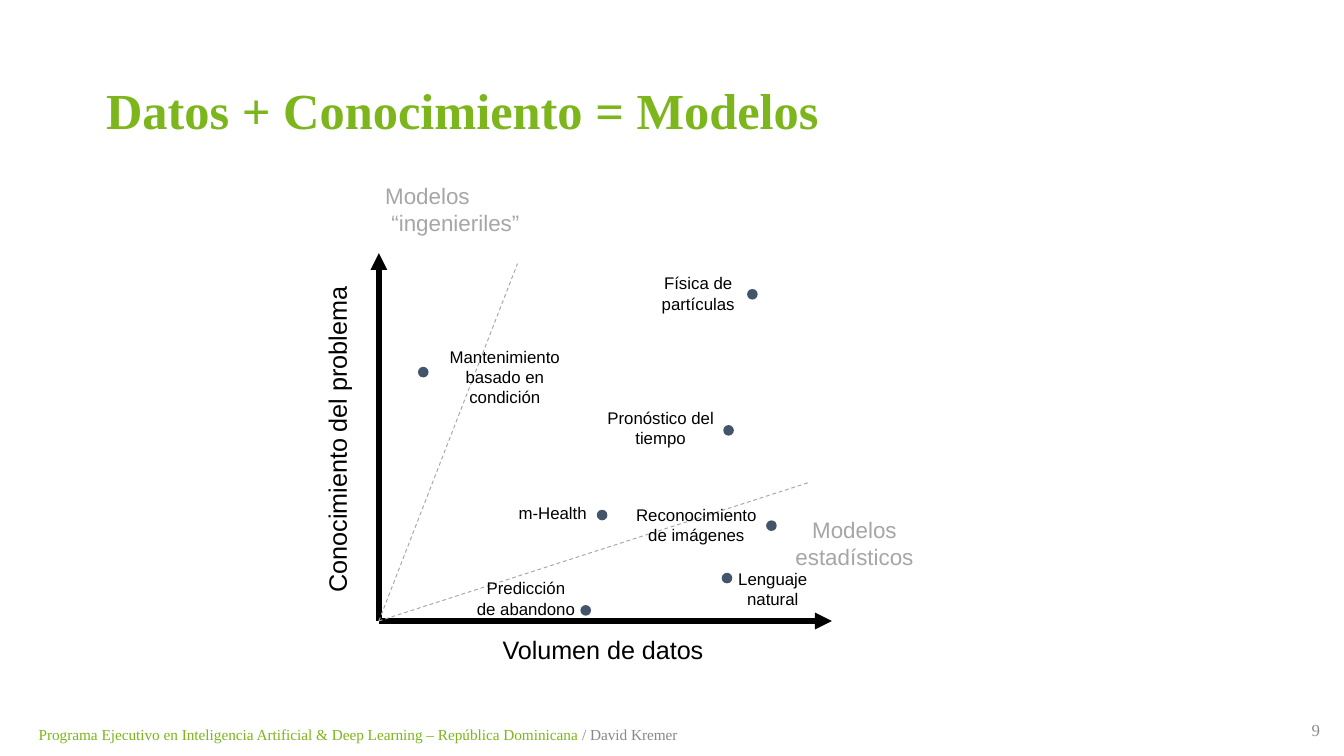
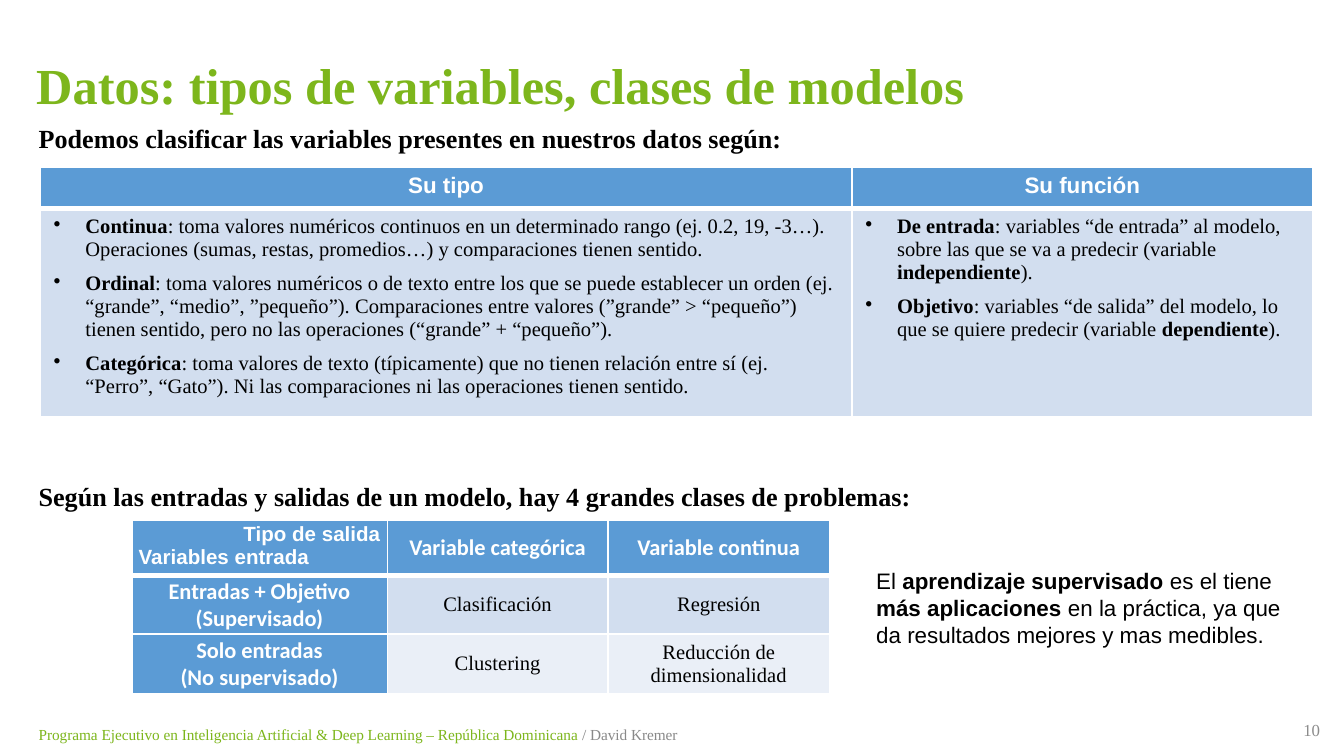
from dataclasses import dataclass, replace

from lxml.etree import SubElement
from pptx import Presentation
from pptx.dml.color import RGBColor
from pptx.enum.dml import MSO_LINE
from pptx.enum.shapes import MSO_CONNECTOR, MSO_SHAPE
from pptx.enum.text import MSO_ANCHOR, MSO_AUTO_SIZE, PP_ALIGN
from pptx.oxml.ns import qn
from pptx.util import Cm, Pt

GREEN = RGBColor(0x7D, 0xB6, 0x1C)
FOOTER_GRAY = RGBColor(0x89, 0x89, 0x89)
NUMBER_GRAY = RGBColor(0x8C, 0x8C, 0x8C)
LIGHT_GRAY = RGBColor(0xA6, 0xA6, 0xA6)
BLACK = RGBColor(0, 0, 0)
WHITE = RGBColor(0xFF, 0xFF, 0xFF)
SLATE = RGBColor(0x44, 0x54, 0x6A)
BLUE = RGBColor(0x5B, 0x9B, 0xD5)
BAND_DARK = RGBColor(0xD2, 0xDE, 0xEF)
BAND_LIGHT = RGBColor(0xEA, 0xEF, 0xF7)

SERIF = "Times New Roman"
SANS = "Arial"


@dataclass(frozen=True)
class TextStyle:
    """Font, size, colour, weight and alignment of a paragraph."""

    font: str
    size: float
    color: RGBColor = BLACK
    bold: bool = False
    alignment: PP_ALIGN = PP_ALIGN.LEFT


TITLE = TextStyle(SERIF, 27, GREEN, True)
FOOTER = TextStyle(SERIF, 8.2)
PAGE_NUMBER = TextStyle(SERIF, 9, NUMBER_GRAY, alignment=PP_ALIGN.RIGHT)
AXIS = TextStyle(SANS, 13.5)
POINT = TextStyle(SANS, 9, alignment=PP_ALIGN.CENTER)
REGION = TextStyle(SANS, 12, LIGHT_GRAY, alignment=PP_ALIGN.CENTER)
LEAD = TextStyle(SERIF, 14, bold=True)
ASIDE = TextStyle(SANS, 12)
TABLE_HEADER = TextStyle(SANS, 12, WHITE, True, PP_ALIGN.CENTER)
CLASS_HEADER = replace(TABLE_HEADER, font="Calibri")
CORNER = TextStyle(SANS, 11, WHITE, True)
DEFINITION = TextStyle(SERIF, 11)
CLASS_NAME = replace(DEFINITION, alignment=PP_ALIGN.CENTER)

ORIGIN = (7.16, 11.73)
DOT_SIZE = 0.2
POINTS = [
    ("Reconocimiento de imágenes", (11.84, 9.53, 2.64, 0.76), (14.48, 9.83)),
    ("Mantenimiento basado en condición", (8.13, 6.55, 2.82, 1.14), (7.9, 6.93)),
    ("Pronóstico del tiempo", (11.28, 7.7, 2.41, 0.76), (13.67, 8.03)),
    ("Física de partículas", (11.99, 5.16, 2.41, 0.76), (14.12, 5.46)),
    ("Lenguaje natural", (13.87, 10.74, 1.47, 0.76), (13.64, 10.82)),
    ("Predicción de abandono", (8.99, 10.92, 1.9, 0.76), (10.97, 11.43)),
    ("m-Health", (9.58, 9.5, 1.73, 0.38), (11.28, 9.63)),
]

VARIABLE_TYPES = [
    "**Continua**: toma valores numéricos continuos en un determinado rango "
    "(ej. 0.2, 19, -3…). Operaciones (sumas, restas, promedios…) y "
    "comparaciones tienen sentido.",
    "**Ordinal**: toma valores numéricos o de texto entre los que se puede "
    "establecer un orden (ej. “grande”, “medio”, ”pequeño”). Comparaciones "
    "entre valores (”grande” > “pequeño”) tienen sentido, pero no las "
    "operaciones (“grande” + “pequeño”).",
    "**Categórica**: toma valores de texto (típicamente) que no tienen "
    "relación entre sí (ej. “Perro”, “Gato”). Ni las comparaciones ni las "
    "operaciones tienen sentido.",
]
VARIABLE_ROLES = [
    "**De entrada**: variables “de entrada” al modelo, sobre las que se va a "
    "predecir (variable **independiente**).",
    "**Objetivo**: variables “de salida” del modelo, lo que se quiere "
    "predecir (variable **dependiente**).",
]
PROBLEM_CLASSES = [
    (["Entradas + Objetivo", "(Supervisado)"], "Clasificación", "Regresión"),
    (["Solo entradas", "(No supervisado)"], "Clustering", "Reducción de dimensionalidad"),
]


def lengths(values):
    """Turn centimetre values into lengths."""
    return [Cm(value) for value in values]


def style_paragraph(paragraph, style):
    """Apply a text style to a whole paragraph."""
    paragraph.alignment = style.alignment
    paragraph.font.name = style.font
    paragraph.font.size = Pt(style.size)
    paragraph.font.bold = style.bold
    paragraph.font.color.rgb = style.color


def write_paragraph(paragraph, text, style):
    """Write text in which double asterisks enclose bold words."""
    if "**" in text:
        for index, part in enumerate(text.split("**")):
            run = paragraph.add_run()
            run.text = part
            run.font.bold = index % 2 == 1
    else:
        paragraph.text = text
    style_paragraph(paragraph, style)


def write_paragraphs(text_frame, texts, style):
    """Write one paragraph per text and return the paragraphs."""
    paragraphs = [text_frame.paragraphs[0]]
    paragraphs += [text_frame.add_paragraph() for _ in texts[1:]]
    for paragraph, text in zip(paragraphs, texts):
        write_paragraph(paragraph, text, style)
    return paragraphs


def set_bullet(paragraph):
    """Give a paragraph a round bullet with a hanging indent."""
    paragraph.space_after = Pt(6)
    properties = paragraph._p.get_or_add_pPr()
    properties.set("marL", str(Cm(0.6)))
    properties.set("indent", str(-Cm(0.6)))
    bullet = properties.makeelement(qn("a:buChar"), {"char": "•"})
    properties.find(qn("a:defRPr")).addprevious(bullet)


def add_text(shapes, box, text, style):
    """Add a wrapping text box that grows with its text."""
    shape = shapes.add_textbox(*lengths(box))
    shape.text_frame.word_wrap = True
    shape.text_frame.auto_size = MSO_AUTO_SIZE.SHAPE_TO_FIT_TEXT
    write_paragraph(shape.text_frame.paragraphs[0], text, style)
    return shape


def add_label(shapes, box, text, style):
    """Add a chart label without inner margins."""
    shape = add_text(shapes, box, text, style)
    frame = shape.text_frame
    frame.margin_left = frame.margin_top = frame.margin_right = frame.margin_bottom = 0
    frame.paragraphs[0].space_before = Pt(4.5)
    return shape


def add_axis_label(shapes, box, text, rotation=0):
    """Add an unwrapped axis label."""
    shape = add_label(shapes, box, text, AXIS)
    shape.text_frame.word_wrap = False
    shape.rotation = rotation


def add_line(shapes, end, color, width):
    """Add a straight line from the origin of the axes."""
    connector = shapes.add_connector(MSO_CONNECTOR.STRAIGHT, *lengths(ORIGIN + end))
    connector.line.color.rgb = color
    connector.line.width = Pt(width)
    SubElement(connector.element.spPr, qn("a:effectLst"))
    return connector


def add_axis(shapes, end):
    """Add an axis that ends in an arrowhead."""
    connector = add_line(shapes, end, BLACK, 3)
    line = connector.element.spPr.find(qn("a:ln"))
    SubElement(line, qn("a:tailEnd"), {"type": "triangle"})


def add_boundary(shapes, end):
    """Add a dashed boundary between families of models."""
    add_line(shapes, end, LIGHT_GRAY, 0.5).line.dash_style = MSO_LINE.DASH


def add_point(shapes, text, label_box, dot_position):
    """Add a dot and its label."""
    dot = shapes.add_shape(MSO_SHAPE.OVAL, *lengths(dot_position + (DOT_SIZE, DOT_SIZE)))
    dot.shadow.inherit = False
    dot.fill.solid()
    dot.fill.fore_color.rgb = SLATE
    dot.line.fill.background()
    add_label(shapes, label_box, text, POINT)


def set_borders(cell, top, bottom):
    """Draw white cell borders with the given top and bottom widths."""
    properties = cell._tc.get_or_add_tcPr()
    for side, width in (("lnL", 1), ("lnR", 1), ("lnT", top), ("lnB", bottom)):
        line = SubElement(properties, qn(f"a:{side}"), {"w": str(Pt(width))})
        fill = SubElement(line, qn("a:solidFill"))
        SubElement(fill, qn("a:srgbClr"), {"val": str(WHITE)})


def fill_cell(cell, texts, style, color):
    """Write a table cell and fill it."""
    cell.fill.solid()
    cell.fill.fore_color.rgb = color
    return write_paragraphs(cell.text_frame, texts, style)


def add_table(slide, position, widths, heights):
    """Add a table with a heavy white rule under its header."""
    size = (sum(widths), sum(heights))
    frame = slide.shapes.add_table(len(heights), len(widths), *lengths(position + size))
    table = frame.table
    table.horz_banding = False
    for column, width in zip(table.columns, widths):
        column.width = Cm(width)
    for index, (row, height) in enumerate(zip(table.rows, heights)):
        row.height = Cm(height)
        for cell in row.cells:
            set_borders(cell, 3 if index == 1 else 1, 3 if index == 0 else 1)
    return table


def add_slide(presentation, title, title_box, number):
    """Add a slide with its title, footer and page number."""
    slide = presentation.slides.add_slide(presentation.slide_layouts[5])
    shape = slide.shapes.title
    shape.left, shape.top, shape.width, shape.height = lengths(title_box)
    shape.text_frame.vertical_anchor = MSO_ANCHOR.MIDDLE
    paragraph = shape.text_frame.paragraphs[0]
    write_paragraph(paragraph, title, TITLE)
    paragraph.line_spacing = 0.9

    footer = add_text(slide.shapes, (0.48, 13.49, 18.29, 0.69), "", FOOTER)
    footer.text_frame.auto_size = MSO_AUTO_SIZE.NONE
    footer.text_frame.vertical_anchor = MSO_ANCHOR.BOTTOM
    program = "Programa Ejecutivo en Inteligencia Artificial & Deep Learning – República Dominicana "
    for text, color in ((program, GREEN), ("/ David Kremer", FOOTER_GRAY)):
        run = footer.text_frame.paragraphs[0].add_run()
        run.text = text
        run.font.color.rgb = color

    page = add_text(slide.shapes, (23.83, 13.41, 1.37, 0.76), str(number), PAGE_NUMBER)
    page.text_frame.auto_size = MSO_AUTO_SIZE.NONE
    page.text_frame.vertical_anchor = MSO_ANCHOR.MIDDLE
    return slide


def add_models_slide(presentation):
    """Add the map of problems by data volume and knowledge."""
    slide = add_slide(presentation, "Datos + Conocimiento = Modelos", (1.75, 0.76, 21.89, 2.77), 9)
    shapes = slide.shapes.add_group_shape().shapes
    for end in ((7.16, 4.78), (15.72, 11.73)):
        add_axis(shapes, end)
    add_axis_label(shapes, (3.45, 7.98, 5.84, 0.58), "Conocimiento del problema", 270)
    add_axis_label(shapes, (9.5, 11.99, 3.89, 0.58), "Volumen de datos")
    for end in ((9.78, 4.98), (15.27, 9.12)):
        add_boundary(shapes, end)
    engineering = replace(REGION, alignment=PP_ALIGN.LEFT)
    add_label(shapes, (7.28, 3.45, 3, 1.02), "Modelos\v “ingenieriles”", engineering)
    add_label(shapes, (15.01, 9.75, 2.28, 1.02), "Modelos estadísticos", REGION)
    for point in POINTS:
        add_point(shapes, *point)


def add_variables_table(slide):
    """Add the table of variable types and roles."""
    table = add_table(slide, (0.76, 3.15), (15.34, 8.71), (0.79, 3.9))
    columns = (("Su tipo", VARIABLE_TYPES), ("Su función", VARIABLE_ROLES))
    for index, (header, definitions) in enumerate(columns):
        fill_cell(table.cell(0, index), [header], TABLE_HEADER, BLUE)
        for paragraph in fill_cell(table.cell(1, index), definitions, DEFINITION, BAND_DARK):
            set_bullet(paragraph)


def add_classes_table(slide):
    """Add the table of the four classes of problems."""
    table = add_table(slide, (2.49, 9.83), (4.83, 4.17, 4.19), (1.02, 1.09, 1.09))
    table.first_col = True
    for cell in table.iter_cells():
        cell.margin_left = cell.margin_right = Cm(0.13)
        cell.margin_top = cell.margin_bottom = Cm(0.05)
        cell.vertical_anchor = MSO_ANCHOR.MIDDLE
    corner = table.cell(0, 0)
    corner.vertical_anchor = MSO_ANCHOR.TOP
    output, _ = fill_cell(corner, ["Tipo de salida", "Variables entrada"], CORNER, BLUE)
    output.alignment = PP_ALIGN.RIGHT
    for column, header in enumerate(("Variable categórica", "Variable continua"), 1):
        fill_cell(table.cell(0, column), [header], CLASS_HEADER, BLUE)
    bands = (BAND_DARK, BAND_LIGHT)
    for row, ((inputs, *names), band) in enumerate(zip(PROBLEM_CLASSES, bands), 1):
        fill_cell(table.cell(row, 0), inputs, CLASS_HEADER, BLUE)
        for column, name in enumerate(names, 1):
            fill_cell(table.cell(row, column), [name], CLASS_NAME, band)


def add_variables_slide(presentation):
    """Add the slide on variables and classes of models."""
    title = "Datos: tipos de variables, clases de modelos"
    slide = add_slide(presentation, title, (0.43, 0.28, 24.69, 2.77), 10)
    lead = "Podemos clasificar las variables presentes en nuestros datos según:"
    add_text(slide.shapes, (0.48, 2.18, 16.79, 0.86), lead, LEAD)
    add_variables_table(slide)
    lead = "Según las entradas y salidas de un modelo, hay 4 grandes clases de problemas:"
    add_text(slide.shapes, (0.48, 8.94, 19.2, 0.86), lead, LEAD)
    add_classes_table(slide)
    aside = (
        "El **aprendizaje supervisado **es el tiene **más aplicaciones **en la "
        "práctica, ya que da resultados mejores y mas medibles."
    )
    add_text(slide.shapes, (16.31, 10.59, 8.2, 1.8), aside, ASIDE)


def main():
    """Build and save the presentation."""
    presentation = Presentation()
    presentation.slide_width = Cm(25.4)
    presentation.slide_height = Cm(14.28)
    add_models_slide(presentation)
    add_variables_slide(presentation)
    presentation.save("out.pptx")


main()
